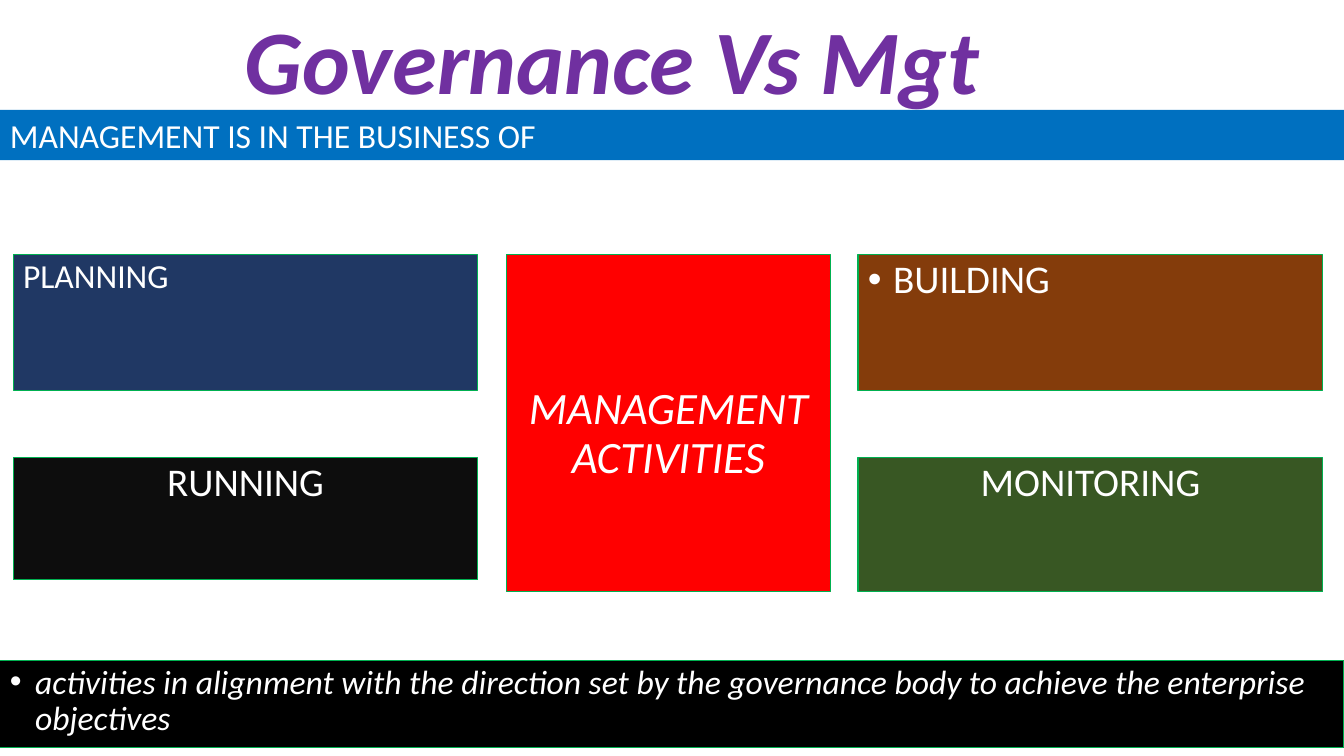
"""Build the slide that lists the activities of management."""
import pptx
import pptx.dml.color
import pptx.enum.shapes
import pptx.enum.text
import pptx.oxml.ns
import pptx.util

In, Pt = pptx.util.Inches, pptx.util.Pt
RGB = pptx.dml.color.RGBColor.from_string
ALIGN = pptx.enum.text.PP_ALIGN
ANCHOR = pptx.enum.text.MSO_ANCHOR

W, H = 13.33, 7.5
COLS = {"left": (0.13, 4.61), "middle": (5.02, 3.22), "right": (8.51, 4.61)}
ROWS = {"upper": 2.53, "lower": 4.54}
FONT = "Calibri"
COLORS = {
    "title": "7030A0", "banner": "0070C0", "planning": "203864",
    "running": "0D0D0D", "building": "843C0B", "monitoring": "385723",
    "activities": "FF0000", "footer": "000000", "edge": "00B050",
    "text": "FFFFFF",
}
TITLE = "Governance Vs Mgt"
BANNER = "MANAGEMENT IS IN THE BUSINESS OF"
FOOTER = ("activities in alignment with the direction set by the governance "
          "body to achieve the enterprise objectives")
CARDS = [
    ("PLANNING", "planning", "left", "upper", 1.34, dict(size=24)),
    ("RUNNING", "running", "left", "lower", 1.21, dict(align=ALIGN.CENTER)),
    ("BUILDING", "building", "right", "upper", 1.34, dict(bullet=True)),
    ("MONITORING", "monitoring", "right", "lower", 1.33, dict(align=ALIGN.CENTER)),
    ("MANAGEMENT ACTIVITIES", "activities", "middle", "upper", 3.34,
     dict(size=32, align=ALIGN.CENTER, italic=True, top=1.3)),
]


def style(p, size, color, align, bold=False, italic=False, spacing=0.9):
    p.alignment, p.line_spacing = align, spacing
    for r in p.runs:
        f = r.font
        f.name, f.size, f.bold, f.italic = FONT, Pt(size), bold, italic
        f.color.rgb = RGB(COLORS[color])


def add_bullet(p):
    pPr = p._p.get_or_add_pPr()
    pPr.set("marL", str(In(0.25)))
    pPr.set("indent", str(-In(0.25)))
    for tag, key, value in (("a:buFont", "typeface", "Arial"),
                            ("a:buChar", "char", "•")):
        bu = pptx.oxml.parse_xml(f"<{tag} {pptx.oxml.ns.nsdecls('a')}/>")
        bu.set(key, value)
        pPr.append(bu)


def add_box(slide, text, color, box, size=28, align=ALIGN.LEFT, italic=False,
            bullet=False, top=0.05, edge=True, spacing=0.9):
    sp = slide.shapes.add_shape(pptx.enum.shapes.MSO_SHAPE.RECTANGLE,
                                *map(In, box))
    sp.shadow.inherit = False
    sp.fill.solid()
    sp.fill.fore_color.rgb = RGB(COLORS[color])
    if edge:
        sp.line.color.rgb = RGB(COLORS["edge"])
        sp.line.width = Pt(0.75)
    else:
        sp.line.fill.background()
    tf = sp.text_frame
    tf.text, tf.word_wrap = text, True
    tf.vertical_anchor, tf.margin_top = ANCHOR.TOP, In(top)
    p = tf.paragraphs[0]
    style(p, size, "text", align, italic=italic, spacing=spacing)
    if bullet:
        add_bullet(p)


def main():
    prs = pptx.Presentation()
    prs.slide_width, prs.slide_height = In(W), In(H)
    slide = prs.slides.add_slide(prs.slide_layouts[5])

    title = slide.shapes.title
    title.left, title.top, title.width, title.height = map(In, (0.32, 0.16, 11.5, 0.97))
    tf = title.text_frame
    tf.text, tf.word_wrap = TITLE, True
    tf.auto_size = pptx.enum.text.MSO_AUTO_SIZE.NONE
    tf.vertical_anchor = ANCHOR.MIDDLE
    style(tf.paragraphs[0], 64.8, "title", ALIGN.CENTER, bold=True, italic=True)

    add_box(slide, BANNER, "banner", (0, 1.09, W, 0.5), size=24, edge=False,
            spacing=1.0)
    for text, color, col, row, height, look in CARDS:
        left, width = COLS[col]
        add_box(slide, text, color, (left, ROWS[row], width, height), **look)
    add_box(slide, FOOTER, "footer", (0, 6.55, W, 0.87), size=24, italic=True,
            bullet=True)
    prs.save("out.pptx")


if __name__ == "__main__":
    main()
